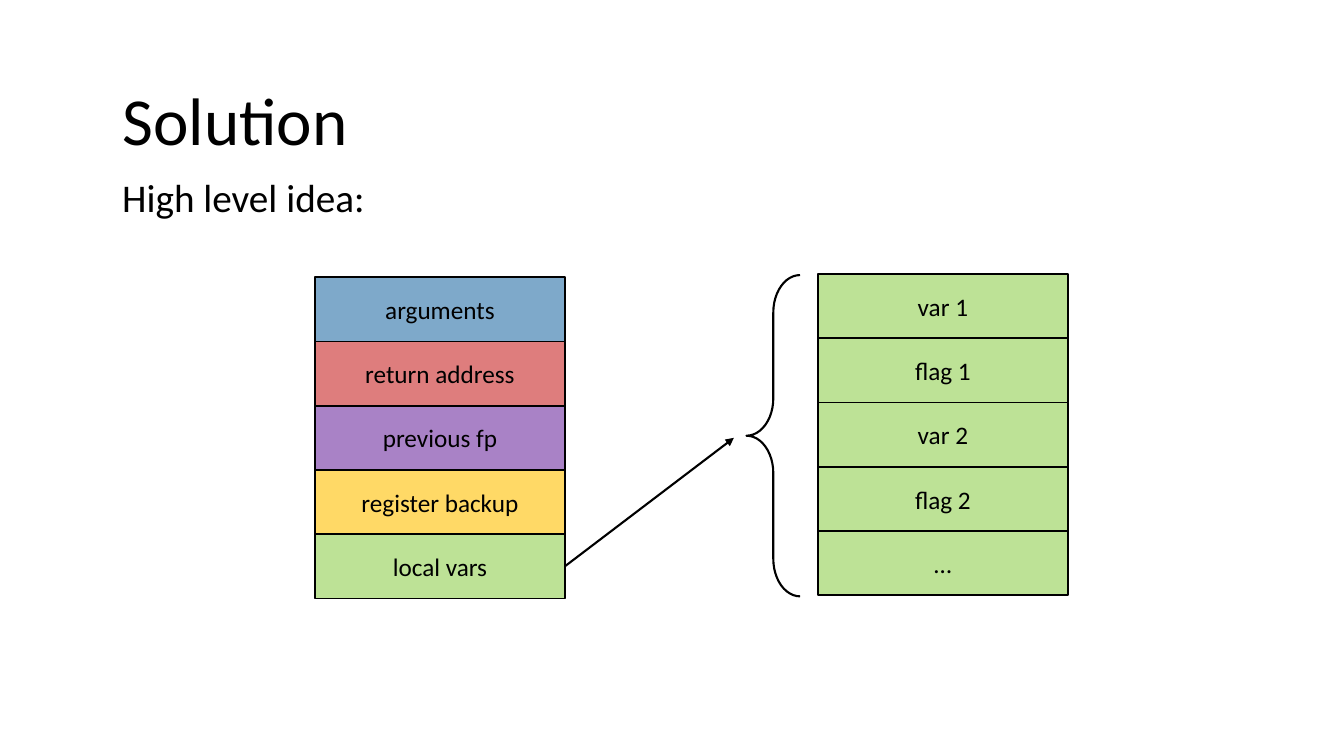
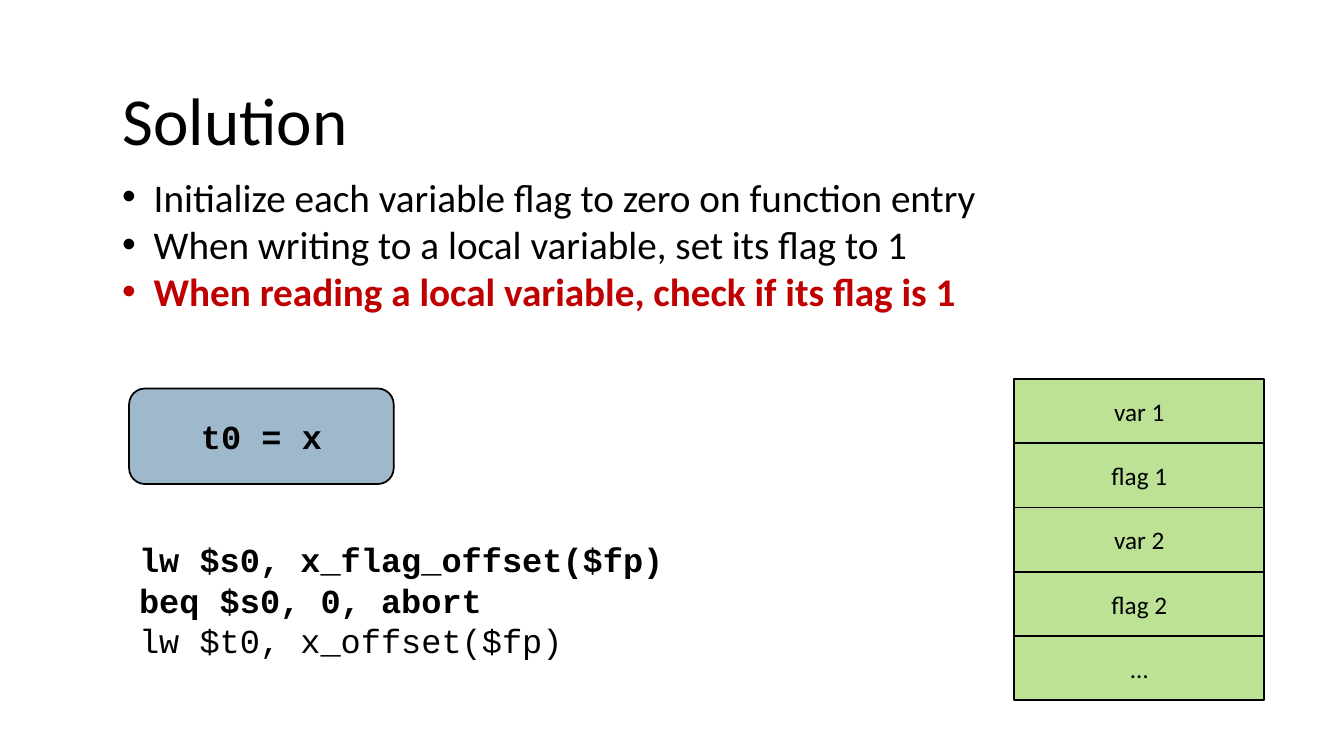
from dataclasses import dataclass

from lxml import etree
from pptx import Presentation, util as u
from pptx.dml.color import RGBColor
from pptx.enum import shapes, text
from pptx.oxml.ns import qn

PX = 9525  # EMU per px, 96 px to the inch


@dataclass(frozen=True)
class Theme:
    ink: str = "000000"
    alert: str = "C00000"
    sans: str = "Calibri"
    mono: str = "Courier New"
    title: int = 48
    body: int = 28
    code: int = 24
    cell: int = 18
    border: float = 1.25
    stroke: float = 1.5


T = Theme()

# Content: fills are (colour, opacity in percent)
GREEN = ("92D050", 60)
FRAME = [
    ("arguments", ("7EA9CA", 100)),
    ("return address", ("C00000", 51)),
    ("previous fp", ("7030A0", 60)),
    ("register backup", ("FFC000", 60)),
    ("local vars", GREEN),
]
LOCALS = [(name, GREEN) for name in ("var 1", "flag 1", "var 2", "flag 2", "…")]
TITLE = "Solution"
IDEA = [("High level idea:", {})]
STEPS = [
    ("Initialize each variable flag to zero on function entry", {}),
    ("When writing to a local variable, set its flag to 1", {}),
    ("When reading a local variable, check if its flag is 1",
     {"bold": True, "color": T.alert}),
]
STATEMENT = ("t0 = x", ("40749B", 50))
CODE = [
    ("lw $s0, x_flag_offset($fp)", {"bold": True}),
    ("beq $s0, 0, abort", {"bold": True}),
    ("lw $t0, x_offset($fp)", {}),
]

# Layout in px
SLIDE = (1280, 720)
TITLE_BOX = (107, 70, 1065, 87)
BODY_BOX = (107, 160, 1065, 145)
STACK_W, STACK_H = 238, 306
FRAME_AT, LOCALS_AT, SIDE_AT = (300, 264), (779, 261), (966, 361)
BRACE_BOX = (711, 262, 51, STACK_H)
ARROW_TIP = (699, 417)
STATEMENT_BOX = (123, 370, 252, 91)
CODE_BOX = (123, 509, 526, 126)
BULLET_INDENT = 30


def emu(*lengths):
    return [u.Emu(round(n * PX)) for n in lengths]


def write(tf, lines, size, font=T.sans, align=text.PP_ALIGN.LEFT,
          anchor=text.MSO_ANCHOR.TOP, bullets=False):
    frame = {"word_wrap": True, "auto_size": text.MSO_AUTO_SIZE.NONE,
             "vertical_anchor": anchor}
    for key, value in frame.items():
        setattr(tf, key, value)
    for i, (line, extra) in enumerate(lines):
        p = tf.paragraphs[0] if i == 0 else tf.add_paragraph()
        p.alignment = align
        if bullets:
            add_bullet(p)
        r = p.add_run()
        r.text = line
        style = {"name": font, "size": u.Pt(size), "bold": extra.get("bold", False)}
        for key, value in style.items():
            setattr(r.font, key, value)
        r.font.color.rgb = RGBColor.from_string(extra.get("color", T.ink))


def add_bullet(p):
    pPr = p._p.get_or_add_pPr()
    indent = BULLET_INDENT * PX
    pPr.set("marL", str(indent))
    pPr.set("indent", str(-indent))
    etree.SubElement(pPr, qn("a:buFont")).set("typeface", "Arial")
    etree.SubElement(pPr, qn("a:buChar")).set("char", "•")


def outline(sp, width):
    sp.line.color.rgb = RGBColor.from_string(T.ink)
    sp.line.width = u.Pt(width)


def add_box(s, kind, box, label, fill, size, font=T.sans, bold=False):
    sp = s.shapes.add_shape(kind, *emu(*box))
    sp.shadow.inherit = False
    color, opacity = fill
    sp.fill.solid()
    sp.fill.fore_color.rgb = RGBColor.from_string(color)
    if opacity < 100:
        clr = sp._element.spPr.find(qn("a:solidFill")).find(qn("a:srgbClr"))
        etree.SubElement(clr, qn("a:alpha")).set("val", str(opacity * 1000))
    outline(sp, T.border)
    write(sp.text_frame, [(label, {"bold": bold})], size, font,
          text.PP_ALIGN.CENTER, text.MSO_ANCHOR.MIDDLE)
    return sp


def add_stack(s, at, cells):
    """Draw equal cells from top to bottom and return them."""
    x, y = at
    h = STACK_H / len(cells)
    return [add_box(s, shapes.MSO_SHAPE.RECTANGLE, (x, y + i * h, STACK_W, h),
                    label, fill, T.cell)
            for i, (label, fill) in enumerate(cells)]


def add_text(s, box, lines, size, **options):
    sp = s.shapes.add_textbox(*emu(*box))
    write(sp.text_frame, lines, size, **options)


def add_brace(s):
    sp = s.shapes.add_shape(shapes.MSO_SHAPE.LEFT_BRACE, *emu(*BRACE_BOX))
    sp.shadow.inherit = False
    sp.adjustments[0], sp.adjustments[1] = 0.7, 0.5
    sp.fill.background()
    outline(sp, T.stroke)


def add_arrow(s, source, tip):
    cx = s.shapes.add_connector(shapes.MSO_CONNECTOR.STRAIGHT, 0, 0, *emu(*tip))
    cx.begin_connect(source, 3)
    outline(cx, T.stroke)
    etree.SubElement(cx.line._get_or_add_ln(), qn("a:tailEnd")).set("type", "triangle")
    etree.SubElement(cx._element.spPr, qn("a:effectLst"))


def add_slide(prs, lines, bullets=False):
    s = prs.slides.add_slide(prs.slide_layouts[5])
    title = s.shapes.title
    title.left, title.top, title.width, title.height = emu(*TITLE_BOX)
    write(title.text_frame, [(TITLE, {})], T.title)
    add_text(s, BODY_BOX, lines, T.body, bullets=bullets)
    return s


def main():
    prs = Presentation()
    prs.slide_width, prs.slide_height = emu(*SLIDE)

    # Stack frame with its local variables expanded
    s = add_slide(prs, IDEA)
    frame = add_stack(s, FRAME_AT, FRAME)
    add_stack(s, LOCALS_AT, LOCALS)
    add_brace(s)
    add_arrow(s, frame[-1], ARROW_TIP)

    # Checked read of a local variable
    s = add_slide(prs, STEPS, bullets=True)
    add_stack(s, SIDE_AT, LOCALS)
    add_text(s, CODE_BOX, CODE, T.code, font=T.mono)
    add_box(s, shapes.MSO_SHAPE.ROUNDED_RECTANGLE, STATEMENT_BOX, *STATEMENT,
            T.code, T.mono, bold=True)

    prs.save("out.pptx")


if __name__ == "__main__":
    main()
